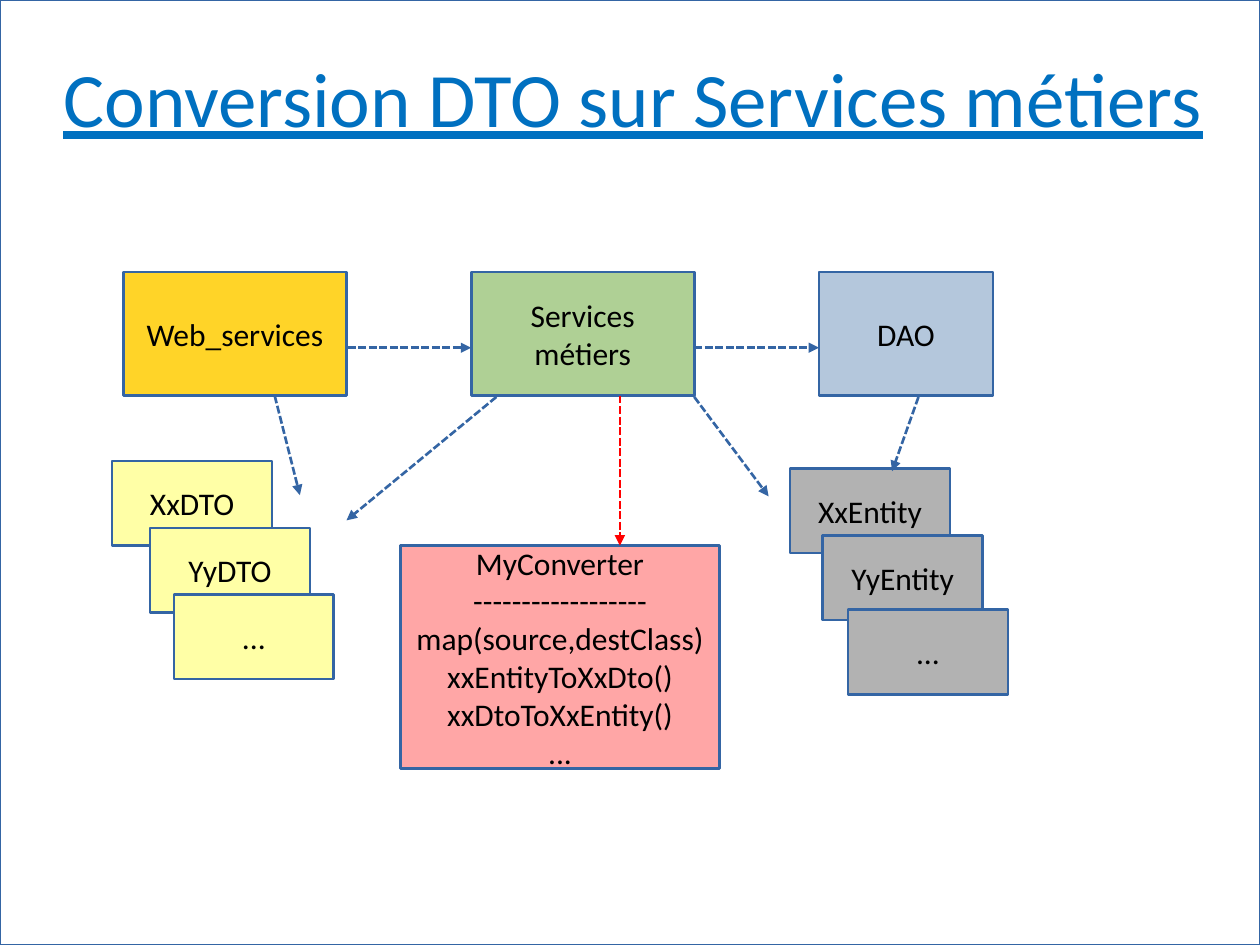
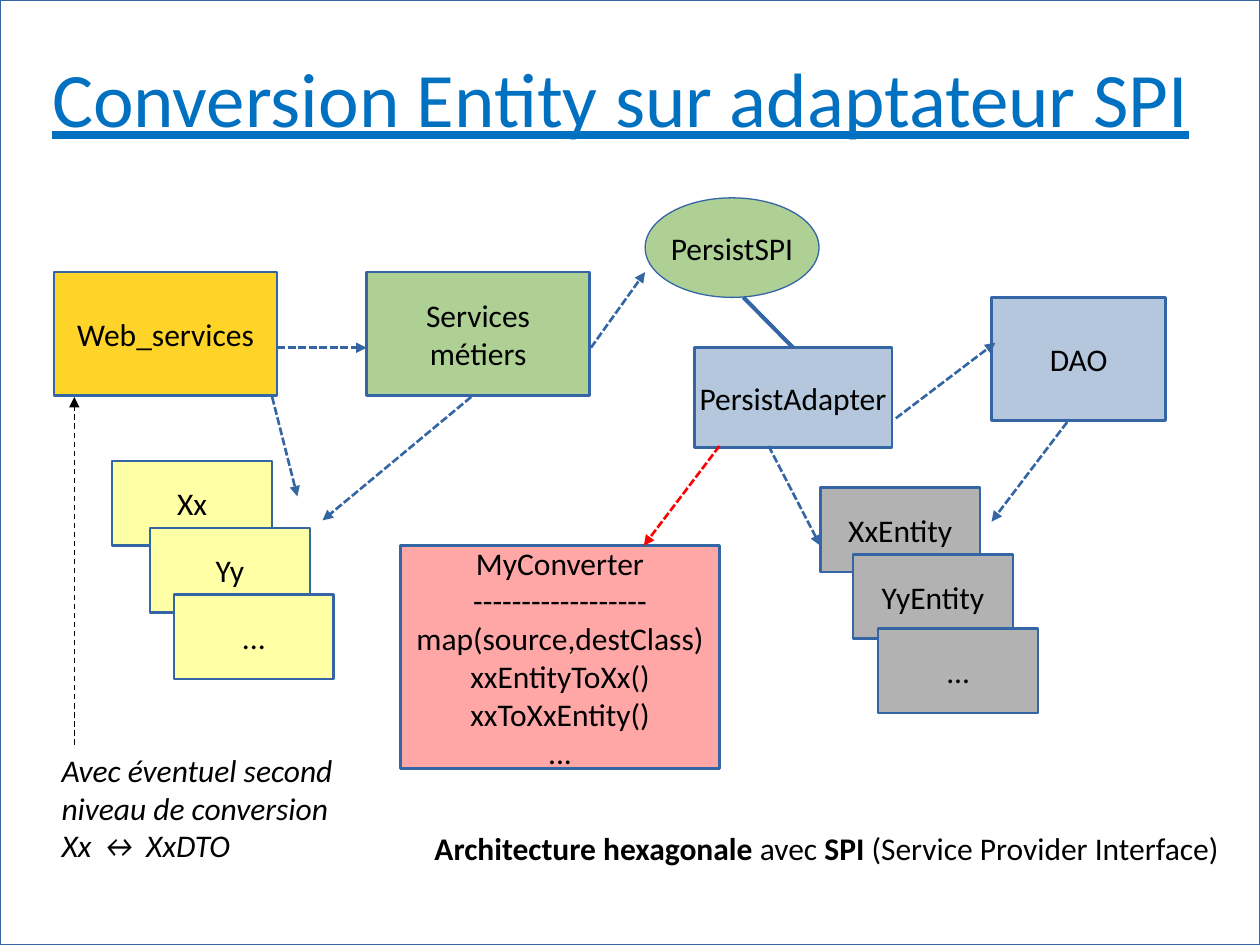
import pptx
import pptx.util
import pptx.dml.color
import pptx.enum.dml
import pptx.enum.shapes
import pptx.enum.text
import pptx.oxml.ns
import lxml.etree

Inches, Pt = pptx.util.Inches, pptx.util.Pt
RGB = pptx.dml.color.RGBColor.from_string
SHAPE = pptx.enum.shapes.MSO_SHAPE
DASH = pptx.enum.dml.MSO_LINE
ALIGN = pptx.enum.text.PP_ALIGN
ANCHOR = pptx.enum.text.MSO_ANCHOR
qn = pptx.oxml.ns.qn

FONT = "Calibri"
COLORS = {
    "title": "0070C0", "line": "3465A4", "text": "000000", "call": "FF0000",
    "web": "FFD428", "service": "AFD095", "data": "B4C7DC",
    "dto": "FFFFA6", "entity": "B2B2B2", "converter": "FFA6A6",
}
CARD_W, CARD_H = 1.27, 0.67
CARD_STEPS = {"dto": [(0, 0), (0.3, 0.53), (0.49, 1.06)],
              "entity": [(0, 0), (0.26, 0.53), (0.46, 1.12)]}


def write(sp, text, size=18, color="text", align=ALIGN.CENTER, anchor=ANCHOR.MIDDLE,
          inset=(0.11, 0.06), wrap=False, bold=False, italic=False, underline=False):
    """Fill sp: \\n parts paragraphs, \\v breaks a line, *stars* mark bold."""
    tf = sp.text_frame
    tf.word_wrap = wrap
    tf.vertical_anchor = anchor
    tf.margin_left = tf.margin_right = Inches(inset[0])
    tf.margin_top = tf.margin_bottom = Inches(inset[1])
    for n, para in enumerate(text.split("\n")):
        p = tf.add_paragraph() if n else tf.paragraphs[0]
        p.alignment = align
        for i, line in enumerate(para.split("\v")):
            if i:
                p.add_line_break()
            for j, part in enumerate(line.split("*")):
                if part:
                    r = p.add_run()
                    r.text = part
                    r.font.name, r.font.size = FONT, Pt(size)
                    r.font.color.rgb = RGB(COLORS[color])
                    r.font.bold = bold or j % 2 == 1
                    r.font.italic, r.font.underline = italic, underline


def connect(s, start, end, color="line", width=1.5, dash=DASH.SQUARE_DOT, arrow=True):
    c = s.shapes.add_connector(pptx.enum.shapes.MSO_CONNECTOR.STRAIGHT,
                               *map(Inches, start + end))
    c.line.color.rgb = RGB(COLORS[color])
    c.line.width = Pt(width)
    if dash:
        c.line.dash_style = dash
    if arrow:
        lxml.etree.SubElement(c.line._get_or_add_ln(), qn("a:tailEnd"), type="triangle")
    lxml.etree.SubElement(c._element.spPr, qn("a:effectLst"))
    return c


# Boxes: text, colour, left, top, width, height
# Stacks: colour, left, top, card names
# Arrows: start, end, colour
slides = [
    {
        "title": "Conversion DTO sur Services métiers", "title_width": 9.65,
        "boxes": [
            ("Web_services", "web", 0.98, 2.16, 1.77, 0.98),
            ("Services\vmétiers", "service", 3.74, 2.16, 1.77, 0.98),
            ("DAO", "data", 6.5, 2.16, 1.38, 0.98),
        ],
        "stacks": [("dto", 0.89, 3.66, ["XxDTO", "YyDTO", "..."]),
                   ("entity", 6.27, 3.72, ["XxEntity", "YyEntity", "..."])],
        "methods": ["xxEntityToXxDto()", "xxDtoToXxEntity()"],
        "arrows": [
            ((2.76, 2.76), (3.74, 2.76), "line"),
            ((5.51, 2.76), (6.5, 2.76), "line"),
            ((7.29, 3.15), (7.08, 3.74), "line"),
            ((3.94, 3.15), (2.75, 4.13), "line"),
            ((2.18, 3.14), (2.38, 3.93), "line"),
            ((4.92, 3.14), (4.92, 4.33), "call"),
            ((5.51, 3.15), (6.1, 3.94), "line"),
        ],
    },
    {
        "title": "Conversion Entity sur adaptateur SPI", "title_width": 9.45,
        "boxes": [
            ("Web_services", "web", 0.43, 2.16, 1.77, 0.98),
            ("Services\vmétiers", "service", 2.91, 2.16, 1.77, 0.98),
            ("DAO", "data", 7.87, 2.36, 1.38, 0.98),
            ("PersistSPI", "service", 5.12, 1.57, 1.38, 0.79),
            ("PersistAdapter", "data", 5.51, 2.76, 1.57, 0.79),
        ],
        "stacks": [("dto", 0.89, 3.66, ["Xx", "Yy", "..."]),
                   ("entity", 6.51, 3.87, ["XxEntity", "YyEntity", "..."])],
        "methods": ["xxEntityToXx()", "xxToXxEntity()"],
        "arrows": [
            ((2.2, 2.76), (2.91, 2.76), "line"),
            ((7.11, 3.32), (7.9, 2.72), "line"),
            ((8.47, 3.35), (7.87, 4.14), "line"),
            ((2.16, 3.15), (2.36, 3.94), "line"),
            ((6.1, 3.54), (6.51, 4.33), "line"),
            ((5.71, 3.54), (5.11, 4.33), "call"),
            ((3.74, 3.15), (2.56, 4.13), "line"),
            ((4.69, 2.76), (5.12, 2.16), "line"),
        ],
    },
]

prs = pptx.Presentation()
prs.slide_width, prs.slide_height = Inches(10), Inches(7.5)

for data in slides:
    s = prs.slides.add_slide(prs.slide_layouts[6])
    sp = s.shapes.add_textbox(Inches(0.2), Inches(0.3), Inches(data["title_width"]), Inches(0.93))
    write(sp, data["title"], size=44, color="title", inset=(0, 0), wrap=True, underline=True)

    frame = s.shapes.add_shape(SHAPE.RECTANGLE, 0, 0, prs.slide_width, prs.slide_height)
    frame.shadow.inherit = False
    frame.fill.background()
    frame.line.color.rgb = RGB(COLORS["line"])
    frame.line.width = Pt(0.75)

    boxes = list(data["boxes"])
    for color, left, top, names in data["stacks"]:
        for name, (dx, dy) in zip(names, CARD_STEPS[color]):
            boxes.append((name, color, left + dx, top + dy, CARD_W, CARD_H))
    methods = "\v".join(["map(source,destClass)"] + data["methods"])
    boxes.append((f"MyConverter\v{'-' * 18}\n{methods}\n...", "converter", 3.18, 4.33, 2.53, 1.77))

    shapes = {}
    for text, color, *place in boxes:
        oval = text == "PersistSPI"
        sp = s.shapes.add_shape(SHAPE.OVAL if oval else SHAPE.RECTANGLE, *map(Inches, place))
        sp.shadow.inherit = False
        sp.fill.solid()
        sp.fill.fore_color.rgb = RGB(COLORS[color])
        sp.line.color.rgb = RGB(COLORS["line"])
        sp.line.width = Pt(0.75 if oval else 1.5)
        write(sp, text)
        shapes[text] = sp

    for start, end, color in data["arrows"]:
        connect(s, start, end, color)

# Hexagonal slide only: adapter link, second conversion level and captions
link = connect(s, (6.3, 2.76), (5.9, 2.36), width=2.3, dash=None, arrow=False)
link.begin_connect(shapes["PersistAdapter"], 0)
connect(s, (0.59, 5.91), (0.59, 3.15), "text", width=0.75, dash=DASH.DASH)

captions = [
    ("*Architecture hexagonale* avec *SPI* (Service Provider Interface)", False,
     3.35, 6.53, 6.46, 0.4),
    ("Avec éventuel second\vniveau de conversion\vXx ↔ XxDTO", True, 0.39, 5.91, 2.36, 1),
]
for text, italic, *place in captions:
    sp = s.shapes.add_textbox(*map(Inches, place))
    write(sp, text, align=ALIGN.LEFT, anchor=ANCHOR.TOP, inset=(0.1, 0.05), italic=italic)

prs.save("out.pptx")
